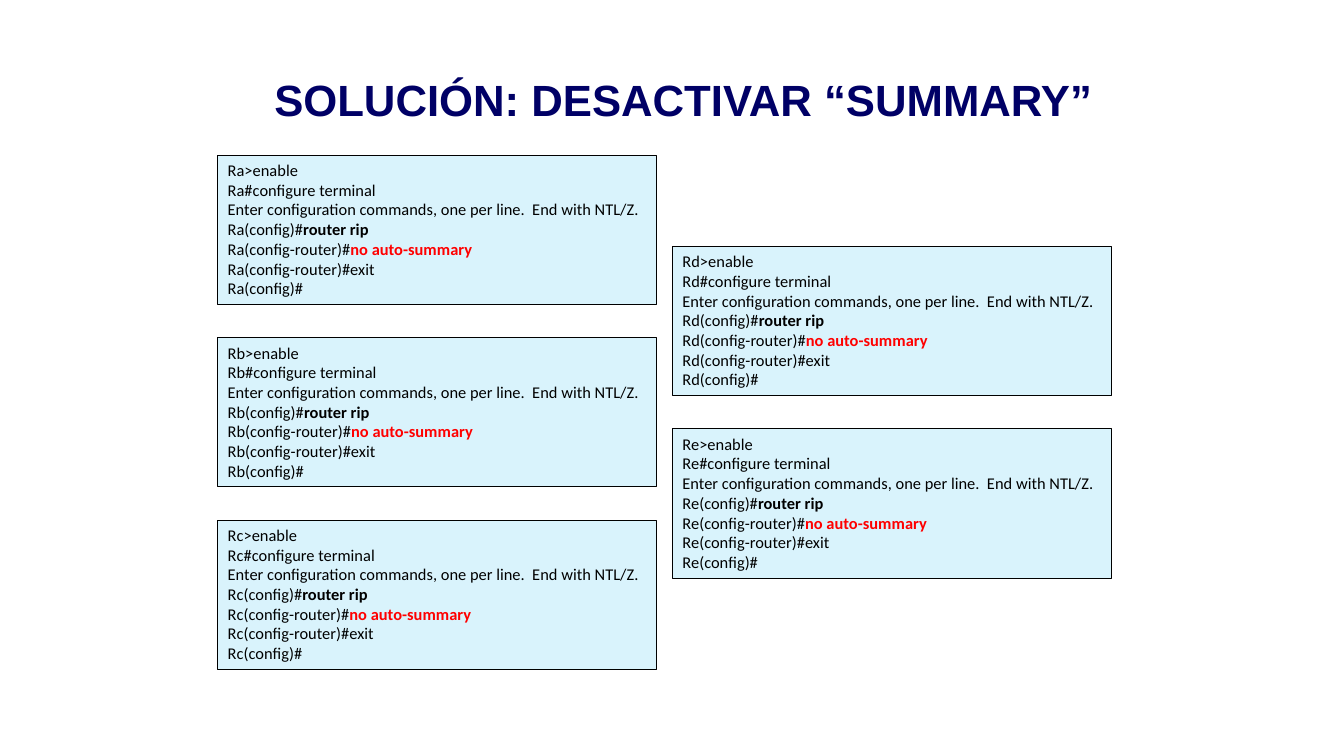
import lxml.etree
import pptx
import pptx.dml.color
import pptx.enum.shapes
import pptx.enum.text
import pptx.oxml.ns
import pptx.util

NAVY = pptx.dml.color.RGBColor(0x00, 0x00, 0x66)
SKY = pptx.dml.color.RGBColor(0x00, 0xB0, 0xF0)
BLACK = pptx.dml.color.RGBColor(0x00, 0x00, 0x00)
RED = pptx.dml.color.RGBColor(0xFF, 0x00, 0x00)

# Console grid in inches: the right column sits half a row lower
COLUMN_LEFT, COLUMN_STEP = 2.16, 4.51
ROW_TOP, ROW_STEP = 1.54, 1.81
CONSOLE_WIDTH, CONSOLE_HEIGHT = 4.35, 1.48
CONSOLES = [("Ra", 0, 0), ("Rb", 0, 1), ("Rc", 0, 2), ("Rd", 1, 0.5), ("Re", 1, 1.5)]

# Each line: prompt and output, highlighted command, command colour
SESSION = [
    (">enable", "", BLACK),
    ("#configure terminal", "", BLACK),
    (None, "", BLACK),
    ("(config)#", "router rip", BLACK),
    ("(config-router)#", "no auto-summary", RED),
    ("(config-router)#exit", "", BLACK),
    ("(config)#", "", BLACK),
]
NOTICE = "Enter configuration commands, one per line.  End with NTL/Z."


def format_run(run, font, size, color, bold=False):
    run.font.name = font
    run.font.size = pptx.util.Pt(size)
    run.font.color.rgb = color
    run.font.bold = bold


def set_opacity(shape, percent):
    color = shape.fill._xPr.find(".//" + pptx.oxml.ns.qn("a:srgbClr"))
    alpha = lxml.etree.SubElement(color, pptx.oxml.ns.qn("a:alpha"))
    alpha.set("val", str(percent * 1000))


def add_heading(slide, text):
    heading = slide.shapes.title
    heading.left, heading.top = pptx.util.Inches(2.62), pptx.util.Inches(0.67)
    heading.width, heading.height = pptx.util.Inches(8.41), pptx.util.Inches(0.63)
    frame = heading.text_frame
    frame.text = text
    frame.word_wrap = False
    frame.auto_size = pptx.enum.text.MSO_AUTO_SIZE.NONE
    frame.vertical_anchor = pptx.enum.text.MSO_ANCHOR.TOP
    line = frame.paragraphs[0]
    line.alignment = pptx.enum.text.PP_ALIGN.LEFT
    line.line_spacing = 1.0
    line.space_before = pptx.util.Pt(0)
    format_run(line.runs[0], "Arial", 31.2, NAVY, True)


def add_console(slide, router, column, row):
    console = slide.shapes.add_shape(
        pptx.enum.shapes.MSO_SHAPE.RECTANGLE,
        pptx.util.Inches(COLUMN_LEFT + column * COLUMN_STEP),
        pptx.util.Inches(ROW_TOP + row * ROW_STEP),
        pptx.util.Inches(CONSOLE_WIDTH),
        pptx.util.Inches(CONSOLE_HEIGHT),
    )
    console.shadow.inherit = False
    console.fill.solid()
    console.fill.fore_color.rgb = SKY
    set_opacity(console, 15)
    console.line.color.rgb = BLACK
    console.line.width = pptx.util.Pt(0.75)

    # Session text, with the typed commands in bold
    frame = console.text_frame
    frame.word_wrap = True
    frame.vertical_anchor = pptx.enum.text.MSO_ANCHOR.TOP
    frame.text = "\n".join(
        router + prompt if prompt else NOTICE for prompt, _, _ in SESSION
    )
    for line, (_, command, color) in zip(frame.paragraphs, SESSION):
        line.alignment = pptx.enum.text.PP_ALIGN.LEFT
        format_run(line.runs[0], "Calibri", 11.7, BLACK)
        if command:
            typed = line.add_run()
            typed.text = command
            format_run(typed, "Calibri", 11.7, color, True)


def main():
    deck = pptx.Presentation()
    deck.slide_width = pptx.util.Inches(13.33)
    deck.slide_height = pptx.util.Inches(7.5)
    slide = deck.slides.add_slide(deck.slide_layouts[5])
    add_heading(slide, "SOLUCIÓN: DESACTIVAR “SUMMARY”")
    for router, column, row in CONSOLES:
        add_console(slide, router, column, row)
    deck.save("out.pptx")


if __name__ == "__main__":
    main()
